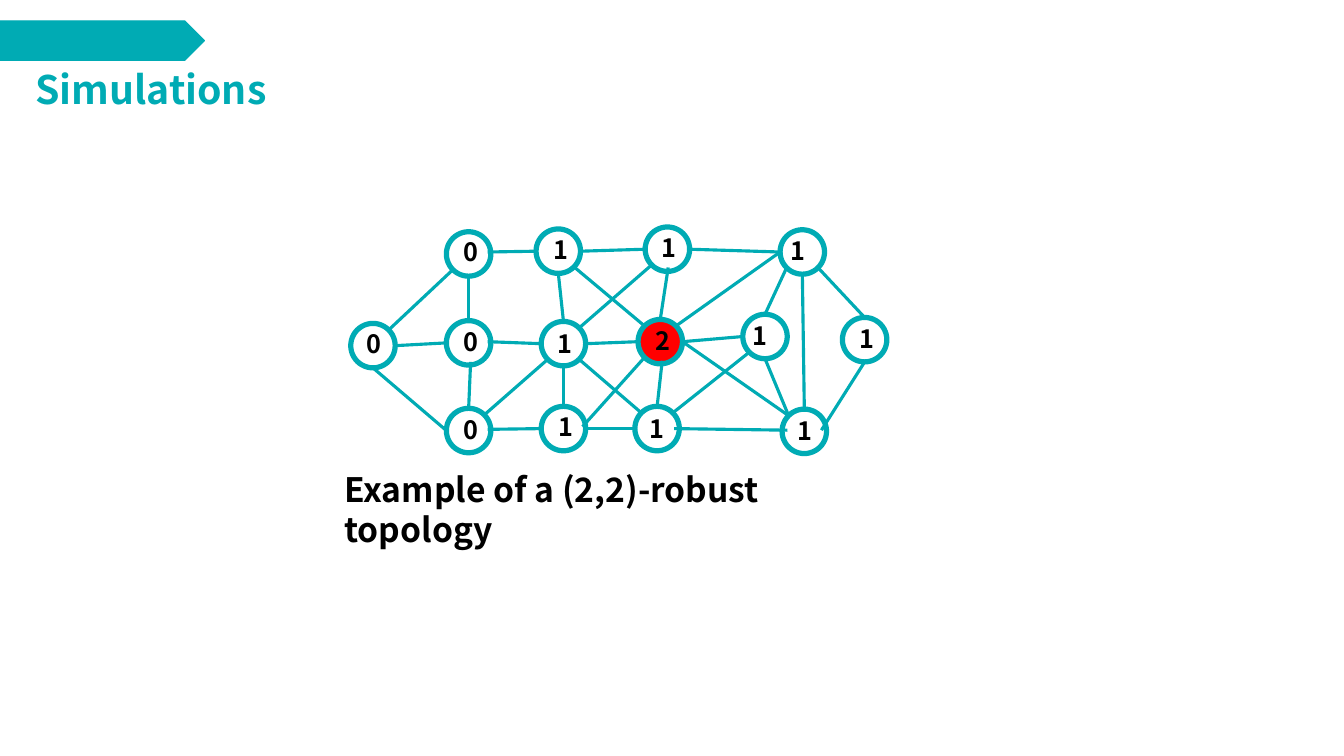
from dataclasses import dataclass

from lxml import etree
from pptx import Presentation
from pptx.dml.color import RGBColor
from pptx.enum.shapes import MSO_CONNECTOR, MSO_SHAPE
from pptx.oxml.ns import qn
from pptx.util import Cm, Pt

STRAIGHT = MSO_CONNECTOR.STRAIGHT
OVAL = MSO_SHAPE.OVAL
PENTAGON = MSO_SHAPE.PENTAGON


@dataclass(frozen=True)
class Theme:
    font: str = "Noto Sans CJK SC"
    teal: RGBColor = RGBColor(0x00, 0xAB, 0xB4)
    red: RGBColor = RGBColor(0xFF, 0x00, 0x00)
    black: RGBColor = RGBColor(0x00, 0x00, 0x00)
    title_size: Pt = Pt(28)
    caption_size: Pt = Pt(24)
    label_size: Pt = Pt(18)
    banner_line: Pt = Pt(1)
    node_line: Pt = Pt(3.75)
    edge_line: Pt = Pt(2.25)


THEME = Theme()
NODE_SIZE = 1.12
LABEL_HEIGHT = 1.02
DIAGONAL = 0.5 ** 0.5


@dataclass(frozen=True)
class Node:
    """A circle by its top left corner, in cm, and the offset of its label."""
    left: float
    top: float
    text: str
    label_dx: float = 0.18
    label_dy: float = 0.02
    label_width: float = 0.86
    fill: RGBColor | None = None

    def label_box(self):
        return (self.left + self.label_dx, self.top + self.label_dy,
                self.label_width, LABEL_HEIGHT)


# Columns a to d run left to right, rows 1 to 3 run top to bottom.
NODES = {
    "left": Node(8.84, 8.15, "0", 0.15, 0),
    "a1": Node(11.25, 5.84, "0", label_dy=0),
    "a2": Node(11.25, 8.08, "0"),
    "a3": Node(11.25, 10.29, "0"),
    "b1": Node(13.51, 5.77, "1", 0.2),
    "b2": Node(13.64, 8.1, "1", 0.15, 0.05),
    "b3": Node(13.64, 10.24, "1", label_dy=0),
    "c1": Node(16.26, 5.72, "1", 0.15, 0),
    "c2": Node(16.08, 8.05, "2", fill=THEME.red),
    "c3": Node(16, 10.24, "1", 0.13, 0.05),
    "d1": Node(19.66, 5.79, "1", 0),
    "d2": Node(18.72, 7.92, "1", 0, label_width=1.22),
    "d3": Node(19.71, 10.31, "1", 0.13),
    "right": Node(21.23, 8, "1"),
}

# Lowercase sides lie on the circle, uppercase sides on the label box.
EDGES = """
left:ne-a1:sw  left:e-a2:w   left:s-a3:w
a1:E-b1:w      a2:S-a3:n     a2:E-b2:w      a3:ne-b2:sw   a3:E-b3:w
b3:e-c3:w      c3:E-d3:W     d3:E-right:s   d1:s-d3:N     d2:n-d1:sw
d2:s-d3:nw     d1:se-right:n a1:s-a2:n      b1:s-b2:n     c1:S-c2:n
c3:n-c2:S      c2:sw-b3:E    b2:se-c3:nw    b2:e-c2:w     b2:s-b3:n
c1:sw-b2:ne    b1:se-c2:nw   b1:e-c1:w      c2:e-d3:nw    d2:sw-c3:ne
c2:e-d2:w      d1:w-c2:ne    c1:e-d1:w
""".split()


def add_text(slide, text, box, size, color, wrap=False):
    shape = slide.shapes.add_textbox(*map(Cm, box))
    shape.text_frame.word_wrap = wrap
    paragraph = shape.text_frame.paragraphs[0]
    paragraph.text = text
    font = paragraph.font
    font.name = THEME.font
    font.size = size
    font.bold = True
    font.color.rgb = color


def add_outlined_shape(slide, kind, box, line_width, fill=None):
    shape = slide.shapes.add_shape(kind, *map(Cm, box))
    shape.shadow.inherit = False
    if fill is None:
        shape.fill.background()
    else:
        shape.fill.solid()
        shape.fill.fore_color.rgb = fill
    shape.line.color.rgb = THEME.teal
    shape.line.width = line_width


def add_node(slide, node):
    circle = (node.left, node.top, NODE_SIZE, NODE_SIZE)
    add_outlined_shape(slide, OVAL, circle, THEME.node_line, node.fill)
    add_text(slide, node.text, node.label_box(), THEME.label_size, THEME.black)


def edge_end(reference):
    """Return the point, in cm, that a reference such as "a1:ne" names."""
    name, side = reference.split(":")
    node = NODES[name]
    if side.isupper():
        left, top, width, height = node.label_box()
    else:
        left, top, width, height = node.left, node.top, NODE_SIZE, NODE_SIZE
    side = side.lower()
    reach = DIAGONAL if len(side) == 2 else 1
    across = ("e" in side) - ("w" in side)
    down = ("s" in side) - ("n" in side)
    return (left + width / 2 * (1 + across * reach),
            top + height / 2 * (1 + down * reach))


def add_edge(slide, edge):
    start, end = map(edge_end, edge.split("-"))
    connector = slide.shapes.add_connector(STRAIGHT, *map(Cm, start + end))
    connector.line.color.rgb = THEME.teal
    connector.line.width = THEME.edge_line
    etree.SubElement(connector._element.spPr, qn("a:effectLst"))


def main():
    presentation = Presentation()
    presentation.slide_width = Cm(33.87)
    presentation.slide_height = Cm(19.05)
    slide = presentation.slides.add_slide(presentation.slide_layouts[6])

    add_text(slide, "Simulations", (0.64, 1.52, 6.4, 1.45),
             THEME.title_size, THEME.teal)
    add_outlined_shape(slide, PENTAGON, (-0.79, 0.53, 5.94, 0.99),
                       THEME.banner_line, THEME.teal)
    for node in NODES.values():
        add_node(slide, node)
    for edge in EDGES:
        add_edge(slide, edge)
    add_text(slide, "Example of a (2,2)-robust topology",
             (8.43, 11.68, 14.17, 1.27), THEME.caption_size, THEME.black,
             wrap=True)

    presentation.save("out.pptx")


if __name__ == "__main__":
    main()
